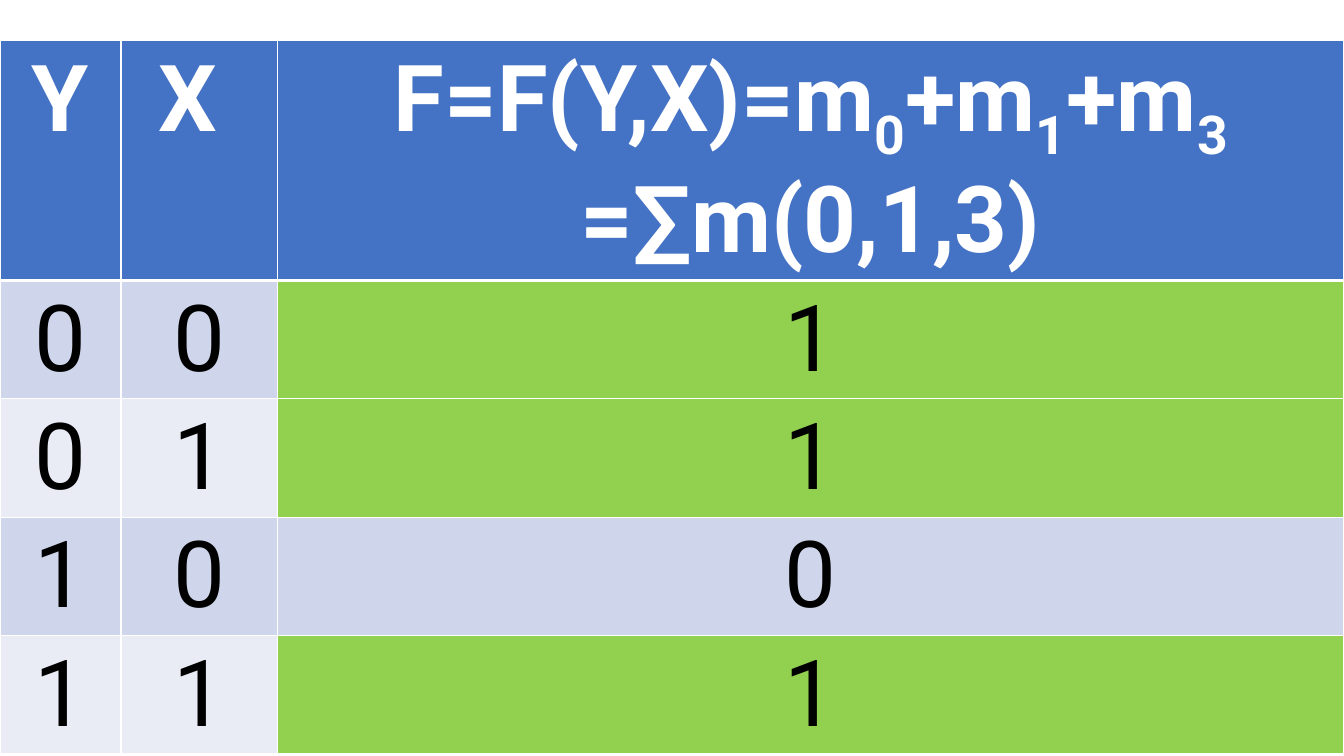
from lxml import etree
from pptx import Presentation
from pptx.dml.color import RGBColor
from pptx.enum.text import PP_ALIGN
from pptx.oxml.ns import qn
from pptx.util import Cm, Pt

CENTER = PP_ALIGN.CENTER

WHITE = RGBColor(0xFF, 0xFF, 0xFF)
BLACK = RGBColor(0x00, 0x00, 0x00)
HEADER_BLUE = RGBColor(0x44, 0x72, 0xC4)
BAND_DARK = RGBColor(0xCF, 0xD5, 0xEA)
BAND_LIGHT = RGBColor(0xE9, 0xEB, 0xF5)
MINTERM_GREEN = RGBColor(0x92, 0xD0, 0x50)

SLIDE_WIDTH, SLIDE_HEIGHT = 33.87, 19.05
TABLE_TOP = 1.02
COLUMN_WIDTHS = (3.05, 3.94, 26.88)
HEADER_HEIGHT, BODY_HEIGHT = 6.0, 2.98
THIN, THICK = 1, 3

# Each heading is a list of lines; a line is a list of (text, is_subscript).
HEADINGS = (
    [[("Y", False)]],
    [[("X ", False)]],
    [
        [("F=F(Y,X)=m", False), ("0", True), ("+m", False),
         ("1", True), ("+m", False), ("3", True)],
        [("=∑m(0,1,3)", False)],
    ],
)
TRUTH_ROWS = ((0, 0, 1), (0, 1, 1), (1, 0, 0), (1, 1, 1))


def add_span(para, text, *, font, size, color, bold=False, subscript=False):
    span = para.add_run()
    span.text = text
    span.font.name = font
    span.font.size = Pt(size)
    span.font.bold = bold
    span.font.color.rgb = color
    if subscript:
        span.font._element.set("baseline", "-25000")


def set_borders(cell, color, **widths):
    """Draw the cell's edges, with widths in points keyed L, R, T and B."""
    properties = cell._tc.get_or_add_tcPr()
    for side in "LRTB":
        line = etree.SubElement(properties, qn(f"a:ln{side}"),
                                w=str(Pt(widths[side])))
        fill = etree.SubElement(line, qn("a:solidFill"))
        etree.SubElement(fill, qn("a:srgbClr"), val=str(color))


class TruthTableSlide:
    """Holds the slide and the text style its table cells share."""

    def __init__(self, slide, font="Roboto", size=66):
        self.slide = slide
        self.font = font
        self.size = size

    def add_table(self, column_widths, row_heights):
        frame = self.slide.shapes.add_table(
            len(row_heights), len(column_widths), Cm(0), Cm(TABLE_TOP),
            Cm(sum(column_widths)), Cm(sum(row_heights)))
        table = frame.table
        table.first_row = False
        table.horz_banding = False
        for column, width in zip(table.columns, column_widths):
            column.width = Cm(width)
        for row, height in zip(table.rows, row_heights):
            row.height = Cm(height)
        return table

    def fill_cell(self, cell, lines, *, fill, color, bold=False,
                  top=THIN, bottom=THIN):
        set_borders(cell, WHITE, L=THIN, R=THIN, T=top, B=bottom)
        cell.fill.solid()
        cell.fill.fore_color.rgb = fill
        frame = cell.text_frame
        for index, line in enumerate(lines):
            para = frame.add_paragraph() if index else frame.paragraphs[0]
            para.alignment = CENTER
            for text, subscript in line:
                add_span(para, text, font=self.font, size=self.size,
                         color=color, bold=bold, subscript=subscript)


def main():
    deck = Presentation()
    deck.slide_width = Cm(SLIDE_WIDTH)
    deck.slide_height = Cm(SLIDE_HEIGHT)
    page = TruthTableSlide(deck.slides.add_slide(deck.slide_layouts[6]))

    heights = [HEADER_HEIGHT] + [BODY_HEIGHT] * len(TRUTH_ROWS)
    table = page.add_table(COLUMN_WIDTHS, heights)
    for column, lines in enumerate(HEADINGS):
        page.fill_cell(table.cell(0, column), lines, fill=HEADER_BLUE,
                       color=WHITE, bold=True, bottom=THICK)

    output_column = len(HEADINGS) - 1
    for row, values in enumerate(TRUTH_ROWS, start=1):
        band = BAND_DARK if row % 2 else BAND_LIGHT
        for column, value in enumerate(values):
            is_minterm = column == output_column and value == 1
            page.fill_cell(table.cell(row, column), [[(str(value), False)]],
                           fill=MINTERM_GREEN if is_minterm else band,
                           color=BLACK, top=THICK if row == 1 else THIN)

    deck.save("out.pptx")


if __name__ == "__main__":
    main()
